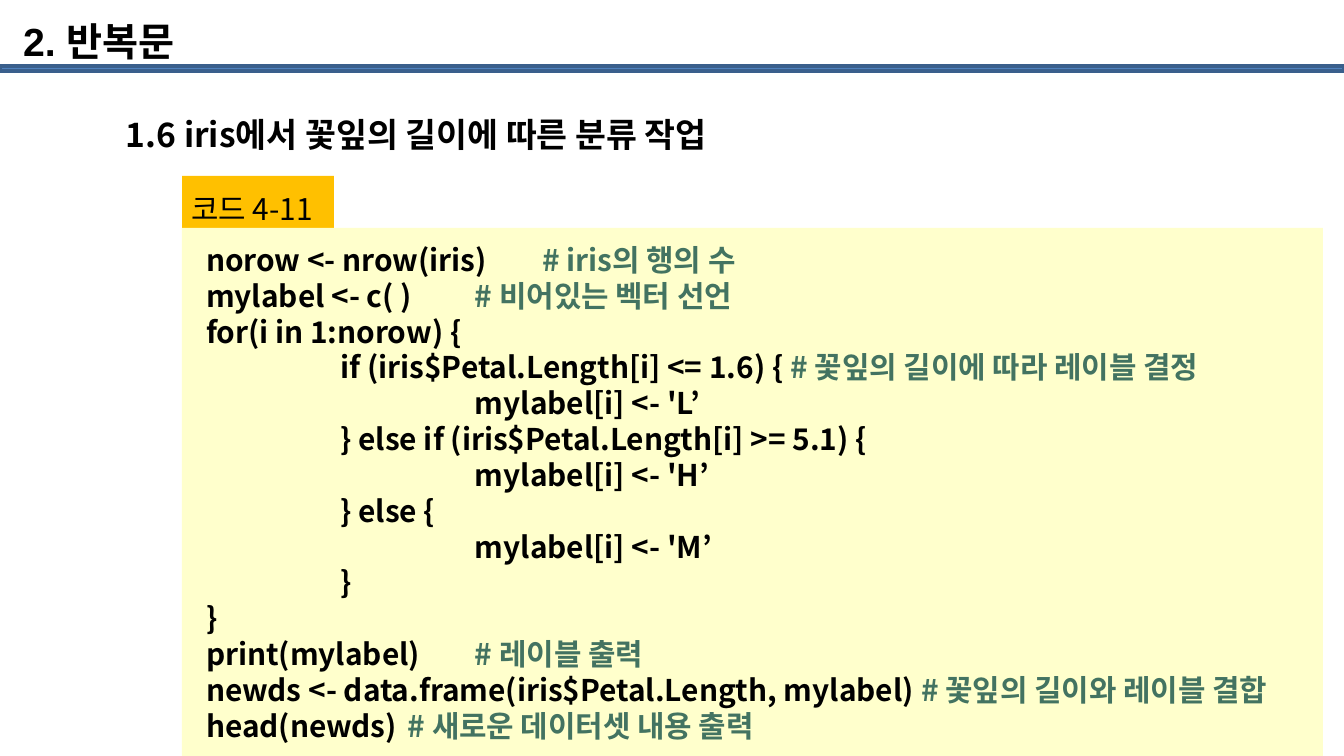
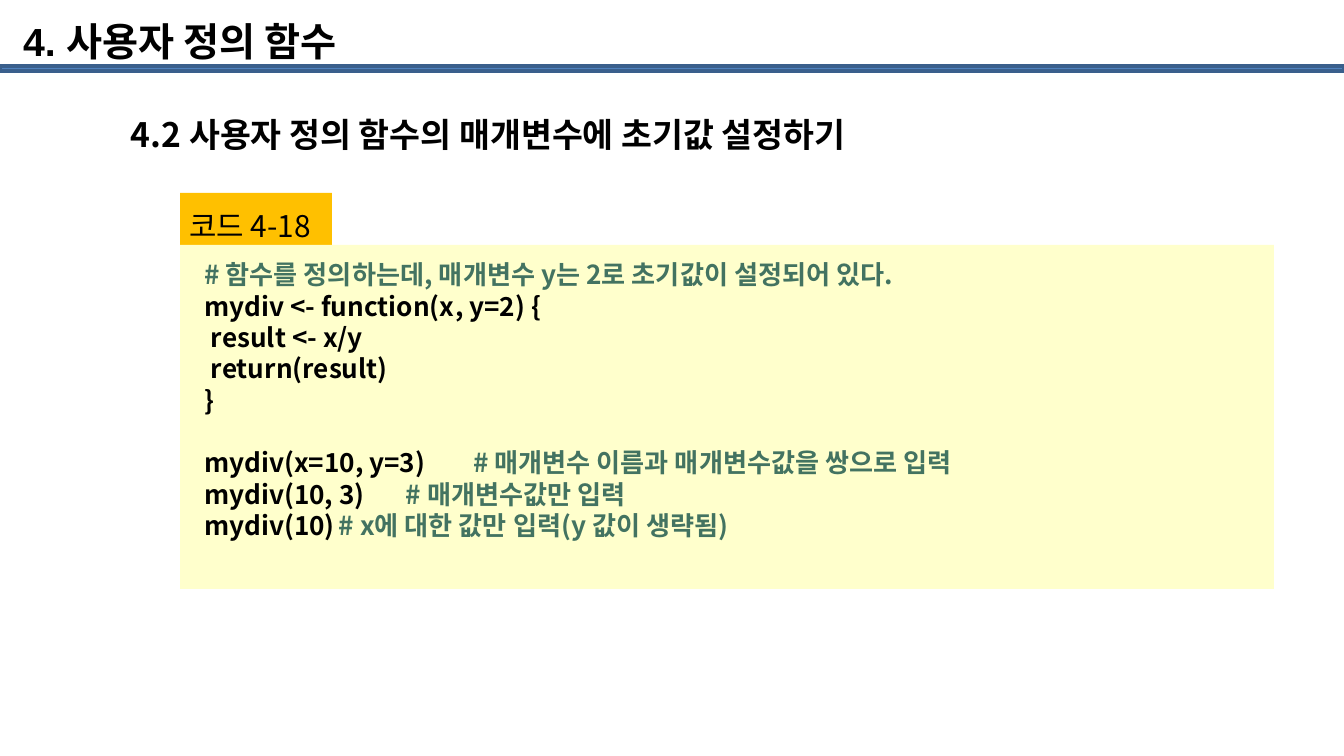
import pptx
import pptx.dml.color
import pptx.enum.shapes
import pptx.enum.text
import pptx.oxml.ns
import pptx.util
from lxml import etree

PX_PER_INCH = 134.4
LATIN, KOREAN = "Arial", "Noto Sans CJK KR"
BLACK, COMMENT = "000000", "437361"
BAR, BAR_EDGE, TAG, PANEL = "4F81BD", "3A5F8C", "FFC000", "FFFFCC"

# Each line: indent in tabs, code, tab stop of the comment (0 = after a space), comment.
CLASSIFY_PETALS = [
    (0, "norow <- nrow(iris)", 4, "# iris의 행의 수"),
    (0, "mylabel <- c( )", 4, "# 비어있는 벡터 선언"),
    (0, "for(i in 1:norow) {", 0, ""),
    (1, "if (iris$Petal.Length[i] <= 1.6) {", 0, "# 꽃잎의 길이에 따라 레이블 결정"),
    (2, "mylabel[i] <- 'L’", 0, ""),
    (1, "} else if (iris$Petal.Length[i] >= 5.1) {", 0, ""),
    (2, "mylabel[i] <- 'H’", 0, ""),
    (1, "} else {", 0, ""),
    (2, "mylabel[i] <- 'M’", 0, ""),
    (1, "}", 0, ""),
    (0, "}", 0, ""),
    (0, "print(mylabel)", 5, "# 레이블 출력"),
    (0, "newds <- data.frame(iris$Petal.Length, mylabel)", 0, "# 꽃잎의 길이와 레이블 결합"),
    (0, "head(newds)", 4, "# 새로운 데이터셋 내용 출력"),
]
DEFINE_MYDIV = [
    (0, "", 0, "# 함수를 정의하는데, 매개변수 y는 2로 초기값이 설정되어 있다."),
    (0, "mydiv <- function(x, y=2) {", 0, ""),
    (0.05, "result <- x/y", 0, ""),
    (0.05, "return(result)", 0, ""),
    (0, "}", 0, ""),
]
CALL_MYDIV = [
    (0, "mydiv(x=10, y=3)", 2, "# 매개변수 이름과 매개변수값을 쌍으로 입력"),
    (0, "mydiv(10, 3)", 2, "# 매개변수값만 입력"),
    (0, "mydiv(10)", 2, "# x에 대한 값만 입력(y 값이 생략됨)"),
]


def px(length):
    return pptx.util.Emu(round(length * 914400 / PX_PER_INCH))


def rgb(value):
    return pptx.dml.color.RGBColor.from_string(value)


def child(parent, tag, **attributes):
    return etree.SubElement(parent, pptx.oxml.ns.qn(tag), attributes)


class Deck:
    """Holds the presentation, its style and the slide being filled."""

    def __init__(self):
        self.file = pptx.Presentation()
        self.file.slide_width, self.file.slide_height = px(1344), px(756)
        self.slide = None

    def start_slide(self, title, section, section_left):
        self.slide = self.file.slides.add_slide(self.file.slide_layouts[1])
        self.rectangle(0, 66, 1344, 5, BAR, BAR_EDGE)
        heading, body = self.slide.placeholders
        self.heading(heading, title, (13, 9, 1159, 75), (10, 5), 21, LATIN, 27)
        self.heading(body, section, (section_left, 66, 1257, 625), (36, 48), 18, KOREAN, 21.6)

    def heading(self, holder, text, place, inset, size, font, line_height):
        holder.left, holder.top, holder.width, holder.height = map(px, place)
        frame = holder.text_frame
        frame.text = text
        frame.auto_size = pptx.enum.text.MSO_AUTO_SIZE.NONE
        frame.vertical_anchor = pptx.enum.text.MSO_ANCHOR.TOP
        frame.margin_left, frame.margin_top = map(px, inset)
        paragraph = frame.paragraphs[0]
        self.set_lines(paragraph, line_height)
        self.style(paragraph.runs[0], size, BLACK, True, font)
        child(paragraph._p.get_or_add_pPr(), "a:buNone")

    def set_lines(self, paragraph, height, indent=0, before=0):
        paragraph.alignment = pptx.enum.text.PP_ALIGN.LEFT
        paragraph.line_spacing = pptx.util.Pt(height)
        paragraph.space_before = pptx.util.Pt(before)
        properties = paragraph._p.get_or_add_pPr()
        properties.set("marL", str(px(indent * PX_PER_INCH)))
        properties.set("indent", "0")

    def style(self, run, size, color, bold, font=KOREAN):
        run.font.size = pptx.util.Pt(size)
        run.font.bold = bold
        run.font.color.rgb = rgb(color)
        run.font.name = font
        child(run._r.get_or_add_rPr(), "a:ea", typeface=KOREAN)

    def rectangle(self, left, top, width, height, fill, edge=None):
        shape = self.slide.shapes.add_shape(
            pptx.enum.shapes.MSO_SHAPE.RECTANGLE, *map(px, (left, top, width, height)))
        shape.shadow.inherit = False
        shape.fill.solid()
        shape.fill.fore_color.rgb = rgb(fill)
        if edge:
            shape.line.color.rgb = rgb(edge)
            shape.line.width = pptx.util.Pt(2)
        else:
            shape.line.fill.background()

    def text_box(self, left, top, width, height, wrap):
        box = self.slide.shapes.add_textbox(*map(px, (left, top, width, height)))
        box.text_frame.word_wrap = wrap
        return box.text_frame

    def listing(self, label, blocks, size, left, top, width, height, text_width):
        """Draw the tag, the panel below it and the code, blocks one line apart."""
        self.rectangle(left, top, 152, 52, TAG)
        self.rectangle(left, top + 52, width, height, PANEL)
        tag = self.text_box(left - 4, top + 8, 161, 50, False)
        tag.text = label
        self.set_lines(tag.paragraphs[0], 19.2)
        self.style(tag.paragraphs[0].runs[0], 16, BLACK, False)

        code = self.text_box(left + 11, top + 59, text_width, height - 8, True)
        paragraph = code.paragraphs[0]
        line_height = 1.2 * size
        for block_number, block in enumerate(blocks):
            for line_number, line in enumerate(block):
                if block_number or line_number:
                    paragraph = code.add_paragraph()
                gap = line_height if block_number and not line_number else 0
                self.code_line(paragraph, line, size, line_height, gap)

    def code_line(self, paragraph, line, size, line_height, gap):
        indent, statement, stop, comment = line
        self.set_lines(paragraph, line_height, indent, gap)
        if stop:
            stops = child(paragraph._p.get_or_add_pPr(), "a:tabLst")
            child(stops, "a:tab", pos=str(px(stop * PX_PER_INCH)), algn="l")
        if statement:
            separator = "\t" if stop else " " if comment else ""
            paragraph.text = statement + separator
            self.style(paragraph.runs[0], size, BLACK, True)
        if comment:
            remark = paragraph.add_run()
            remark.text = comment
            self.style(remark, size, COMMENT, True)


def main():
    deck = Deck()
    deck.start_slide("2. 반복문", "1.6 iris에서 꽃잎의 길이에 따른 분류 작업", 90)
    deck.listing("코드 4-11", [CLASSIFY_PETALS], 16, 182, 176, 1141, 528, 1141)
    deck.start_slide("4. 사용자 정의 함수", "4.2 사용자 정의 함수의 매개변수에 초기값 설정하기", 95)
    deck.listing("코드 4-18", [DEFINE_MYDIV, CALL_MYDIV], 14, 180, 193, 1094, 344, 1020)
    deck.file.save("out.pptx")


if __name__ == "__main__":
    main()
